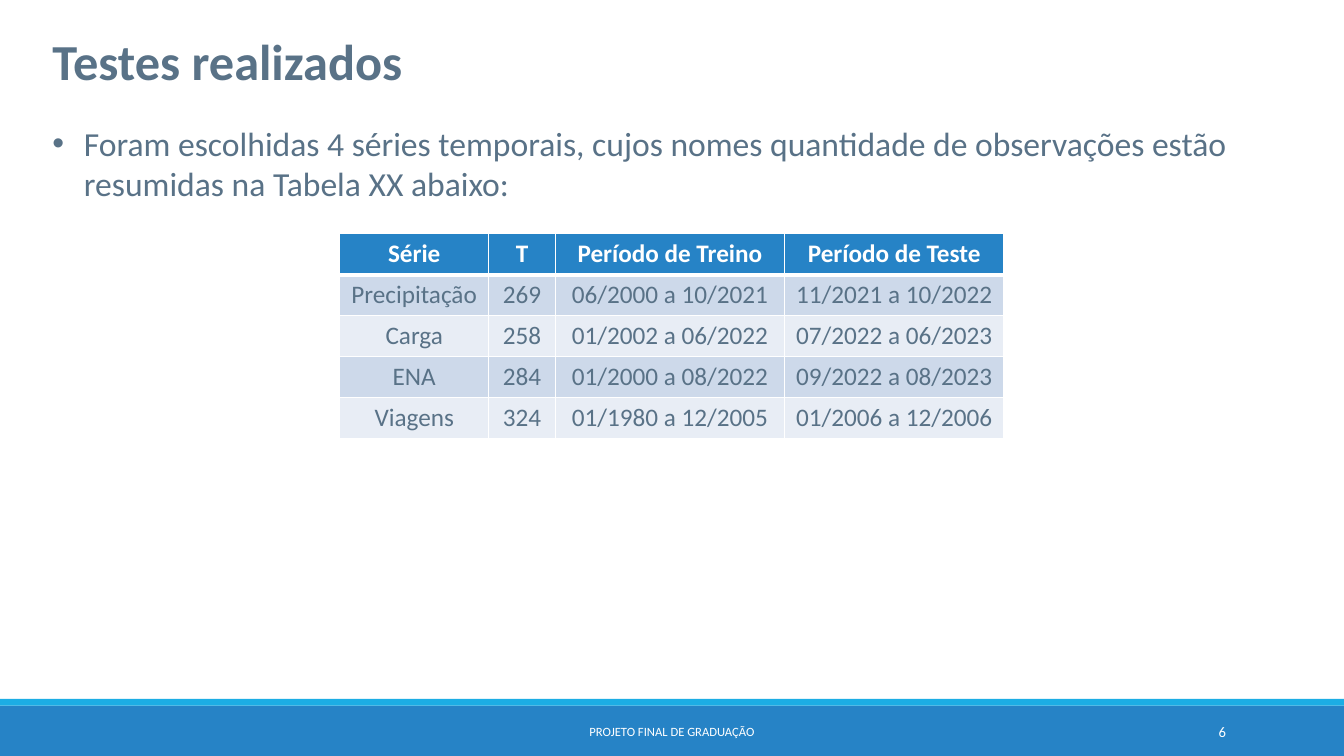
from lxml.etree import SubElement
from pptx import Presentation
from pptx.dml.color import RGBColor
from pptx.enum.shapes import MSO_SHAPE as SHAPE
from pptx.enum.text import MSO_ANCHOR as ANCHOR, PP_ALIGN as ALIGN
from pptx.oxml.ns import qn
from pptx.util import Pt

TITLE = "Testes realizados"
BULLET = ("Foram escolhidas 4 séries temporais, cujos nomes quantidade de "
          "observações estão resumidas na Tabela XX abaixo:")
SERIES = [
    ("Série", "T", "Período de Treino", "Período de Teste"),
    ("Precipitação", "269", "06/2000 a 10/2021", "11/2021 a 10/2022"),
    ("Carga", "258", "01/2002 a 06/2022", "07/2022 a 06/2023"),
    ("ENA", "284", "01/2000 a 08/2022", "09/2022 a 08/2023"),
    ("Viagens", "324", "01/1980 a 12/2005", "01/2006 a 12/2006"),
]
FOOTER = "PROJETO FINAL DE GRADUAÇÃO"
PAGE = "6"

COLORS = {"text": "597287", "white": "FFFFFF", "blue": "2683C6",
          "cyan": "1CADE4", "odd": "CDD9EA", "even": "E8EDF5"}
FONT = "Calibri"
WIDTH, HEIGHT = 960, 540
MARGIN, TEXT_W = 30.24, 905
FOOTER_H, STRIPE_H = 36, 4.8
COL_WIDTHS = (106.2, 47.8, 163.6, 156.8)
ROW_H, TABLE_TOP = 29.2, 167
INDENT = 22.5


def rgb(name):
    return RGBColor.from_string(COLORS[name])


def write(tf, text, size=18, color="text", bold=False, align=ALIGN.LEFT,
          anchor=ANCHOR.TOP):
    tf.word_wrap = True
    tf.vertical_anchor = anchor
    p = tf.paragraphs[0]
    p.alignment = align
    p.space_before = Pt(0)
    r = p.add_run()
    r.text = text
    r.font.name, r.font.size, r.font.bold = FONT, Pt(size), bold
    r.font.color.rgb = rgb(color)
    return p


def place(sp, left, top, width, height):
    sp.left, sp.top, sp.width, sp.height = map(Pt, (left, top, width, height))
    return sp


def add_bar(slide, top, height, color):
    bar = slide.shapes.add_shape(SHAPE.RECTANGLE, 0, Pt(top), Pt(WIDTH), Pt(height))
    bar.shadow.inherit = False
    bar.fill.solid()
    bar.fill.fore_color.rgb = rgb(color)
    bar.line.fill.background()


def add_text(slide, box, text, **fmt):
    sp = slide.shapes.add_textbox(*map(Pt, box))
    write(sp.text_frame, text, anchor=ANCHOR.MIDDLE, color="white", **fmt)


def set_borders(cell, **widths):
    """Draw white borders; the keywords L, R, T and B give widths in points."""
    tcPr = cell._tc.get_or_add_tcPr()
    for side, width in widths.items():
        ln = SubElement(tcPr, qn(f"a:ln{side}"), w=str(Pt(width)))
        fill = SubElement(ln, qn("a:solidFill"))
        SubElement(fill, qn("a:srgbClr"), val=COLORS["white"])


def add_series_table(slide):
    total = sum(COL_WIDTHS)
    frame = slide.shapes.add_table(
        len(SERIES), len(COL_WIDTHS), Pt((WIDTH - total) / 2 + 3 / 4 - 0.75),
        Pt(TABLE_TOP), Pt(total), Pt(ROW_H * len(SERIES)))
    table = frame.table
    for column, width in zip(table.columns, COL_WIDTHS):
        column.width = Pt(width)
    for i, row in enumerate(SERIES):
        table.rows[i].height = Pt(ROW_H)
        head = i == 0
        fill = "blue" if head else "odd" if i % 2 else "even"
        for j, text in enumerate(row):
            cell = table.cell(i, j)
            set_borders(cell, L=1, R=1, T=3 if i == 1 else 1, B=3 if head else 1)
            cell.fill.solid()
            cell.fill.fore_color.rgb = rgb(fill)
            cell.vertical_anchor = ANCHOR.MIDDLE
            write(cell.text_frame, text, color="white" if head else "text",
                  bold=head, align=ALIGN.CENTER, anchor=ANCHOR.MIDDLE)


def main():
    prs = Presentation()
    prs.slide_width, prs.slide_height = Pt(WIDTH), Pt(HEIGHT)
    s = prs.slides.add_slide(prs.slide_layouts[1])
    footer_top = HEIGHT - FOOTER_H
    add_bar(s, footer_top, FOOTER_H, "blue")
    add_bar(s, footer_top - STRIPE_H, STRIPE_H, "cyan")
    add_text(s, (290.2, 508.3, 379.4, 28.8), FOOTER, size=9, align=ALIGN.CENTER)
    add_text(s, (779.8, 508.3, 103, 28.8), PAGE, size=10.5, align=ALIGN.RIGHT)

    title, body = s.placeholders
    place(title, MARGIN, 18, TEXT_W, 52)
    write(title.text_frame, TITLE, size=36, bold=True)
    place(body, MARGIN, 84, TEXT_W, 68)
    pPr = write(body.text_frame, BULLET, size=24)._p.get_or_add_pPr()
    pPr.set("marL", str(Pt(INDENT)))
    pPr.set("indent", str(-Pt(INDENT)))
    SubElement(pPr, qn("a:buChar"), char="•")

    add_series_table(s)
    prs.save("out.pptx")


if __name__ == "__main__":
    main()
